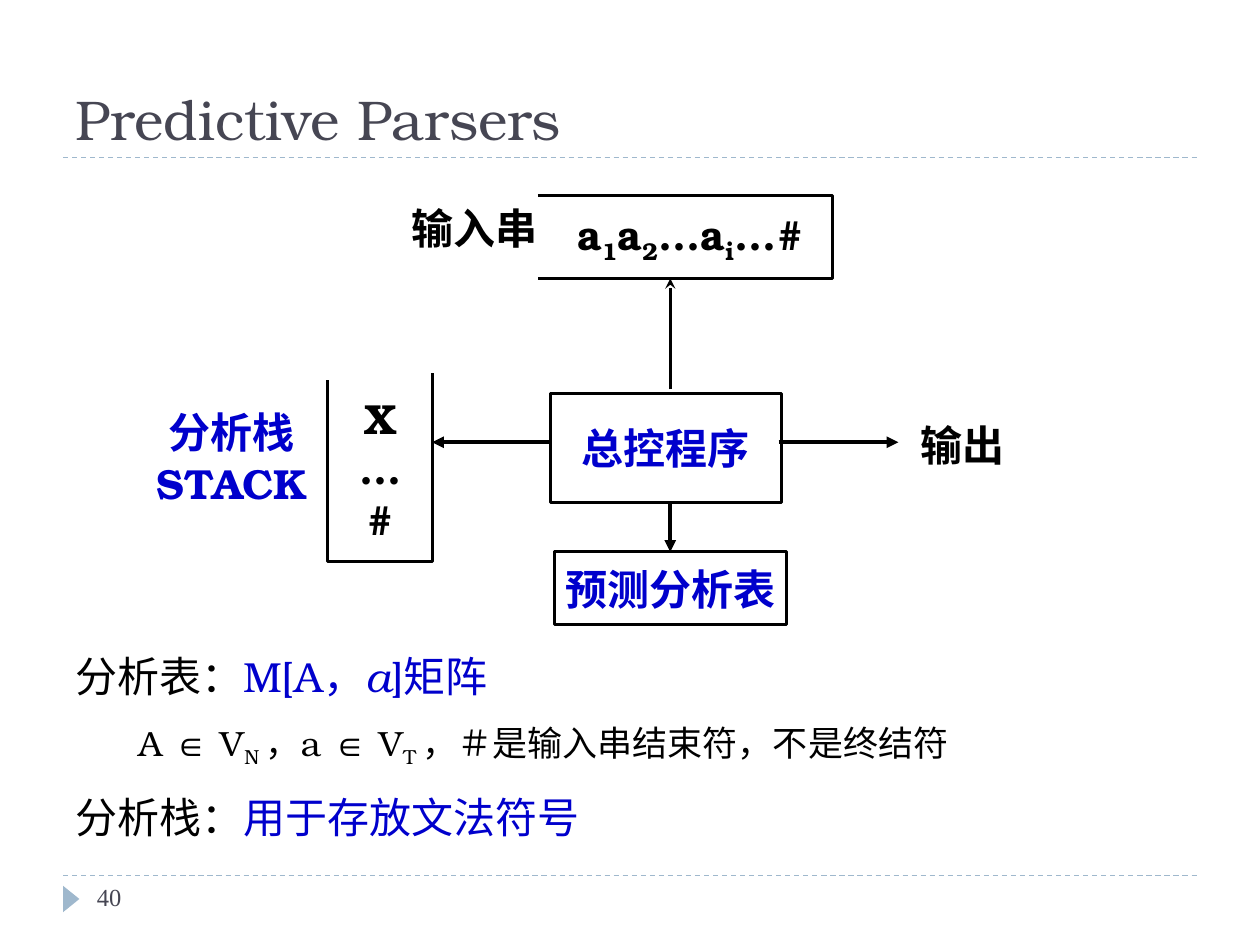
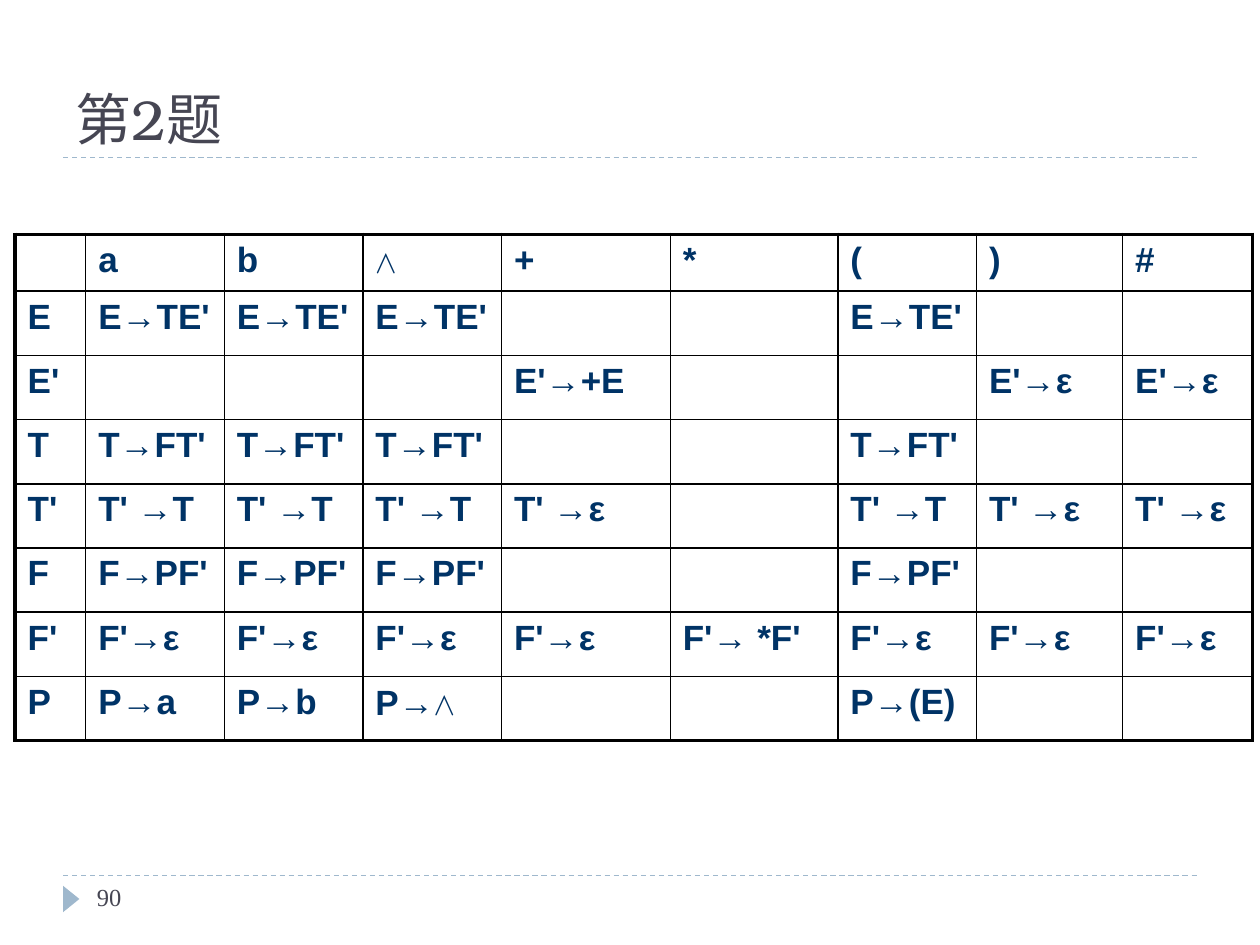
"""Build two slides on predictive parsing: the parser model and a parsing table."""
import itertools
from dataclasses import dataclass
from typing import NamedTuple, Optional

import pptx
import pptx.dml.color
import pptx.enum.dml
import pptx.enum.shapes
import pptx.enum.text
import pptx.oxml.ns
import pptx.util
from lxml import etree
from pptx.util import Inches

COLORS = {"title": "464653", "accent": "9FB8CD", "ink": "000000",
          "blue": "0000CC", "cell": "003366"}
SERIF = "TeX Gyre Bonum"
FOOTER_FONT = "Times New Roman"
CELL_FONT = "Arial"
SYMBOL_FONT = "DejaVu Sans Mono"
ALIGN = pptx.enum.text.PP_ALIGN
ANCHOR = pptx.enum.text.MSO_ANCHOR


class Area(NamedTuple):
    left: float
    top: float
    width: float
    height: float


@dataclass(frozen=True)
class Span:
    text: str
    color: str = "ink"
    size: float = 24
    font: str = SERIF
    bold: bool = False
    italic: bool = False
    subscript: bool = False


@dataclass(frozen=True)
class Para:
    spans: tuple[Span, ...]
    align: Optional[ALIGN] = None
    spacing: Optional[float] = None
    before: float = 0
    indent: float = 0


@dataclass(frozen=True)
class Label:
    area: Area
    paras: tuple[Para, ...]
    anchor: ANCHOR = ANCHOR.MIDDLE
    wrap: bool = False


@dataclass(frozen=True)
class Arrow:
    start: tuple[float, float]
    end: tuple[float, float]
    width: float = 2.25
    head: str = "triangle"


def rgb(name: str) -> pptx.dml.color.RGBColor:
    return pptx.dml.color.RGBColor.from_string(COLORS[name])


def write(frame, paras: tuple[Para, ...]) -> None:
    for number, item in enumerate(paras):
        para = frame.add_paragraph() if number else frame.paragraphs[0]
        if item.indent:
            para._p.get_or_add_pPr().set("marL", str(Inches(item.indent)))
        if item.align is not None:
            para.alignment = item.align
        if item.spacing:
            para.line_spacing = item.spacing
        if item.before:
            para.space_before = pptx.util.Pt(item.before)
        for part in item.spans:
            span = para.add_run()
            span.text = part.text
            span.font.name = part.font
            span.font.size = pptx.util.Pt(part.size)
            span.font.bold = part.bold
            span.font.italic = part.italic
            span.font.color.rgb = rgb(part.color)
            if part.subscript:
                span._r.get_or_add_rPr().set("baseline", "-25000")


def fill_frame(frame, label: Label) -> None:
    frame.word_wrap = label.wrap
    frame.vertical_anchor = label.anchor
    write(frame, label.paras)


def add_label(page, label: Label) -> None:
    box = page.shapes.add_textbox(*map(Inches, label.area))
    fill_frame(box.text_frame, label)


def outline(shape) -> None:
    shape.shadow.inherit = False
    shape.fill.background()
    shape.line.color.rgb = rgb("ink")
    shape.line.width = pptx.util.Pt(1.75)


def add_box(page, label: Label):
    box = page.shapes.add_shape(
        pptx.enum.shapes.MSO_SHAPE.RECTANGLE, *map(Inches, label.area))
    outline(box)
    fill_frame(box.text_frame, label)
    return box


def add_open_frame(page, points: list[tuple[float, float]]) -> None:
    corners = [(Inches(x), Inches(y)) for x, y in points]
    builder = page.shapes.build_freeform(*corners[0], scale=1.0)
    builder.add_line_segments(corners[1:], close=False)
    outline(builder.convert_to_shape())


def add_line(page, start: tuple[float, float], end: tuple[float, float],
             color: str, width: float):
    line = page.shapes.add_connector(
        pptx.enum.shapes.MSO_CONNECTOR.STRAIGHT, *map(Inches, start + end))
    line.line.color.rgb = rgb(color)
    line.line.width = pptx.util.Pt(width)
    etree.SubElement(line._element.spPr, pptx.oxml.ns.qn("a:effectLst"))
    return line


def add_arrow(page, arrow: Arrow):
    line = add_line(page, arrow.start, arrow.end, "ink", arrow.width)
    tail = etree.SubElement(line.line._get_or_add_ln(), pptx.oxml.ns.qn("a:tailEnd"))
    tail.set("type", arrow.head)
    return line


def add_page(deck, title: str, number: int):
    page = deck.slides.add_slide(deck.slide_layouts[6])
    for y in (6.95, 1.25):
        rule = add_line(page, (0.5, y), (9.5, y), "accent", 0.75)
        rule.line.dash_style = pptx.enum.dml.MSO_LINE.DASH
    marker = page.shapes.add_shape(
        pptx.enum.shapes.MSO_SHAPE.ISOSCELES_TRIANGLE,
        *map(Inches, (0.46, 7.07, 0.21, 0.13)))
    marker.rotation = 90
    marker.shadow.inherit = False
    marker.fill.solid()
    marker.fill.fore_color.rgb = rgb("accent")
    marker.line.fill.background()
    add_label(page, Label(Area(0.5, 0.17, 9, 1.08),
                          (Para((Span(title, "title", 32),)),), ANCHOR.BOTTOM, True))
    add_label(page, Label(Area(0.67, 6.95, 2.17, 0.4),
                          (Para((Span(str(number), "title", 14, FOOTER_FONT),)),),
                          ANCHOR.TOP, True))
    return page


def centered(area: Area, color: str, *lines: str) -> Label:
    return Label(area, tuple(Para((Span(line, color, bold=True),), ALIGN.CENTER)
                             for line in lines))


def small(text: str, subscript: bool = False) -> Span:
    return Span(text, size=20, subscript=subscript)


def build_parser_model(deck) -> None:
    page = add_page(deck, "Predictive Parsers", 40)
    notes = (
        Para((Span("分析表："), Span("M[A，", "blue"), Span("a", "blue", italic=True),
              Span("]矩阵", "blue")), spacing=1.25),
        Para((small("A ∈ V"), small("N ", True), small("，a ∈ V"), small("T ", True),
              small("，＃是输入串结束符，不是终结符")), spacing=1.25, before=5, indent=0.5),
        Para((Span("分析栈："), Span("用于存放文法符号", "blue")), spacing=1.25, before=6),
    )
    add_label(page, Label(Area(0.5, 5.01, 9, 1.72), notes, ANCHOR.TOP, True))

    add_box(page, centered(Area(4.37, 3.12, 1.83, 0.87), "blue", "总控程序"))
    table_box = add_box(page, centered(Area(4.4, 4.38, 1.84, 0.58), "blue", "预测分析表"))
    add_open_frame(page, [(2.6, 3.02), (2.6, 4.46), (3.43, 4.46), (3.43, 2.96)])
    add_open_frame(page, [(4.27, 1.55), (6.61, 1.55), (6.61, 2.21), (4.27, 2.21)])

    for label in (
        centered(Area(2.73, 3.05, 0.58, 1.33), "ink", "X", "…", "#"),
        centered(Area(2.88, 1.56, 1.77, 0.5), "ink", "输入串"),
        centered(Area(1.11, 2.96, 1.46, 1.34), "blue", "分析栈", "STACK"),
        centered(Area(7.13, 3.28, 1.02, 0.5), "ink", "输出"),
    ):
        add_label(page, label)
    input_spans = tuple(Span(text, bold=True, subscript=bool(number % 2))
                        for number, text in enumerate(("a", "1", "a", "2", "...a", "i", "…#")))
    add_label(page, Label(Area(4.44, 1.63, 2.08, 0.5), (Para(input_spans, ALIGN.CENTER),)))

    add_arrow(page, Arrow((5.32, 3.09), (5.32, 2.21), 1.75, "stealth"))
    add_arrow(page, Arrow((5.32, 3.98), (5.32, 4.38))).end_connect(table_box, 0)
    add_arrow(page, Arrow((4.37, 3.51), (3.43, 3.51)))
    add_arrow(page, Arrow((6.18, 3.51), (7.13, 3.51)))


def cell_spans(text: str) -> tuple[Span, ...]:
    return tuple(
        Span("".join(letters), "cell", 20, SYMBOL_FONT if symbol else CELL_FONT, True)
        for symbol, letters in itertools.groupby(text, lambda letter: letter == "⋀"))


def set_borders(cell, widths: dict[str, float]) -> None:
    properties = cell._tc.get_or_add_tcPr()
    for side, width in widths.items():
        edge = etree.SubElement(properties, pptx.oxml.ns.qn(f"a:ln{side}"),
                                w=str(pptx.util.Pt(width)))
        solid = etree.SubElement(edge, pptx.oxml.ns.qn("a:solidFill"))
        etree.SubElement(solid, pptx.oxml.ns.qn("a:srgbClr"), val=COLORS["ink"])


def build_parsing_table(deck) -> None:
    page = add_page(deck, "第2题", 90)
    rows = [line.split("|") for line in (
        "|a|b|⋀|+|*|(|)|#",
        "E|E→TE'|E→TE'|E→TE'|||E→TE'||",
        "E'||||E'→+E|||E'→ε|E'→ε",
        "T|T→FT'|T→FT'|T→FT'|||T→FT'||",
        "T'|T' →T|T' →T|T' →T|T' →ε||T' →T|T' →ε|T' →ε",
        "F|F→PF'|F→PF'|F→PF'|||F→PF'||",
        "F'|F'→ε|F'→ε|F'→ε|F'→ε|F'→ *F'|F'→ε|F'→ε|F'→ε",
        "P|P→a|P→b|P→⋀|||P→(E)||",
    )]
    widths = [0.56, 1.1, 1.1, 1.1, 1.34, 1.33, 1.1, 1.16, 1.03]
    heights = [0.45] + [0.51] * (len(rows) - 1)
    table = page.shapes.add_table(
        len(rows), len(widths),
        *map(Inches, (0.12, 1.86, sum(widths), sum(heights)))).table
    table.first_row = table.horz_banding = False
    for column, width in zip(table.columns, widths):
        column.width = Inches(width)
    for row, height in zip(table.rows, heights):
        row.height = Inches(height)
    last_row, last_column = len(rows) - 1, len(widths) - 1
    for r, c in itertools.product(range(len(rows)), range(len(widths))):
        cell = table.cell(r, c)
        outer = {"L": c == 0, "R": c == last_column, "T": r == 0, "B": r == last_row}
        set_borders(cell, {side: 2.25 if edge else 1 for side, edge in outer.items()})
        cell.fill.background()
        write(cell.text_frame, (Para(cell_spans(rows[r][c])),))


def main() -> None:
    deck = pptx.Presentation()
    deck.slide_width, deck.slide_height = Inches(10), Inches(7.5)
    build_parser_model(deck)
    build_parsing_table(deck)
    deck.save("out.pptx")


if __name__ == "__main__":
    main()
